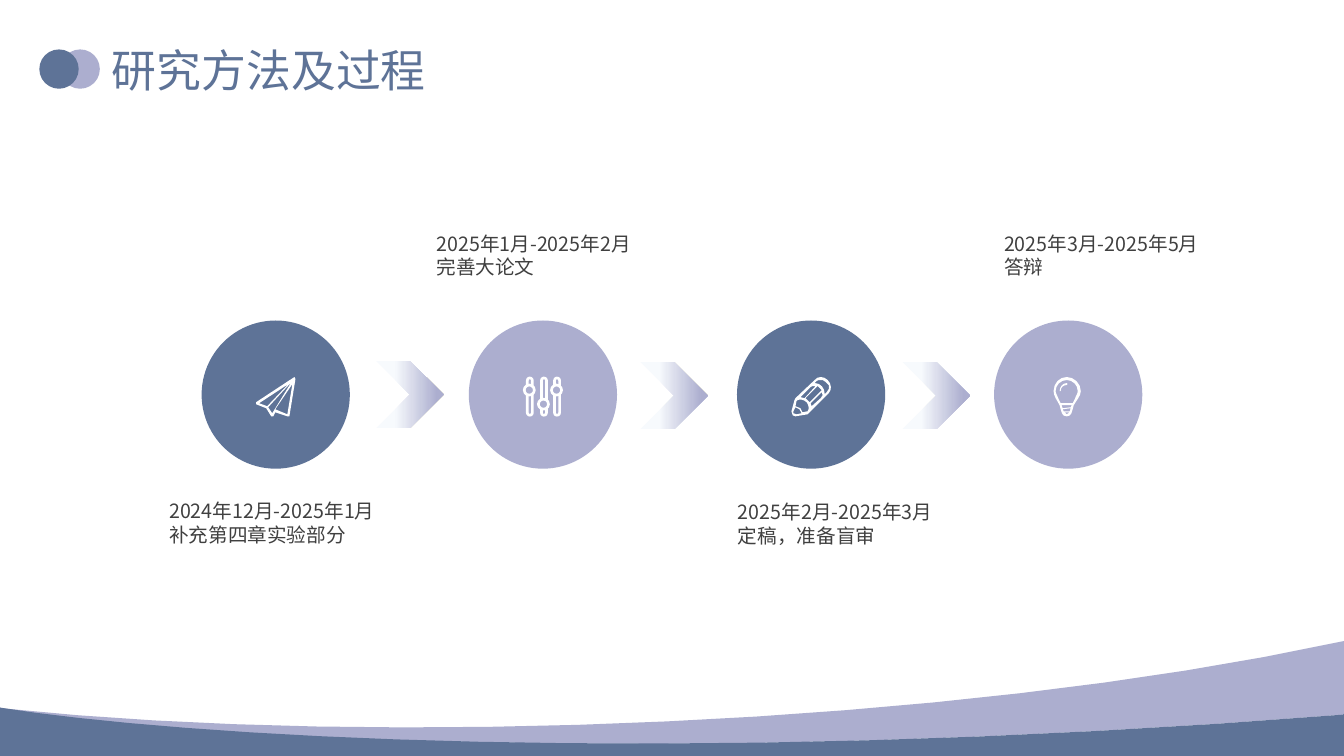
from dataclasses import dataclass

from lxml.etree import SubElement
from pptx import Presentation
from pptx.dml.color import RGBColor
from pptx.enum.shapes import MSO_SHAPE as Preset
from pptx.enum.text import MSO_ANCHOR as Anchor, PP_ALIGN as Align
from pptx.oxml.ns import qn
from pptx.util import Inches, Pt


@dataclass(frozen=True)
class Theme:
    font: str = "Noto Sans CJK SC"
    blue: str = "5E7397"
    lilac: str = "ACAECF"
    pale: str = "F7FAFD"
    white: str = "FFFFFF"
    ink: str = "404040"
    title_size: int = 32
    label_size: int = 14
    icon_stroke: float = 1.9


THEME = Theme()

LILAC_WAVE = [[
    (13.33, 6.36), (13.33, 7.09), (6.5, 7.63, 1.71, 7.3, 0, 7.03),
    (0, 7.02), (0.05, 7.03), (3.76, 7.42, 9.44, 7.2, 13.28, 6.37),
]]
BLUE_WAVE = [[
    (0, 7.02), (1.71, 7.29, 6.5, 7.63, 13.32, 7.09), (13.33, 7.08),
    (13.33, 7.5), (0, 7.5),
]]
PLANE = [
    [(2.85, 4.11), (2.73, 4.06), (2.9, 3.81)],
    [(2.66, 4.04), (2.89, 3.79), (2.7, 4.1)],
    [(2.57, 4), (2.86, 3.81), (2.65, 4.03)],
    [(2.92, 3.74), (2.54, 3.99), (2.54, 4.01), (2.64, 4.05), (2.69, 4.13),
     (2.71, 4.13), (2.73, 4.09), (2.85, 4.13), (2.87, 4.13), (2.93, 3.76)],
]
PENCIL = [
    [(8.2, 3.89), (8.18, 3.91), (8.18, 3.85, 8.14, 3.8, 8.08, 3.8), (8.1, 3.78),
     (8.12, 3.77), (8.16, 3.77), (8.19, 3.79), (8.22, 3.82), (8.22, 3.86)],
    [(7.96, 4.09), (7.94, 4.05), (7.89, 4.03), (7.9, 3.98), (7.91, 3.97),
     (7.93, 3.96, 7.97, 3.96, 8, 3.99), (8.02, 4.01, 8.03, 4.06, 8.01, 4.08)],
    [(7.9, 4.11), (7.87, 4.1), (7.87, 4.08), (7.89, 4.04), (7.93, 4.06), (7.95, 4.1)],
    [(7.98, 3.95), (7.94, 3.94), (8.04, 3.84), (8.06, 3.83), (8.09, 3.83)],
    [(8.03, 3.99), (7.99, 3.95), (8.11, 3.83), (8.15, 3.87)],
    [(8.05, 4.03), (8.04, 4), (8.15, 3.89), (8.16, 3.92), (8.14, 3.95)],
    [(8.21, 3.77), (8.17, 3.73, 8.11, 3.73, 8.08, 3.77), (7.89, 3.95),
     (7.88, 3.97), (7.85, 4.08), (7.85, 4.12, 7.87, 4.13, 7.89, 4.13),
     (8.01, 4.11), (8.03, 4.09), (8.22, 3.9), (8.25, 3.87, 8.25, 3.81, 8.21, 3.77)],
]
BULB = [
    [(10.64, 4), (10.52, 4), (10.5, 3.96), (10.49, 3.93, 10.47, 3.9, 10.47, 3.88),
     (10.47, 3.82, 10.52, 3.77, 10.58, 3.77),
     (10.64, 3.77, 10.69, 3.82, 10.69, 3.88),
     (10.69, 3.9, 10.67, 3.93, 10.66, 3.96)],
    [(10.58, 4.11), (10.56, 4.09), (10.61, 4.09)],
    [(10.54, 4.05), (10.53, 4.02), (10.63, 4.02), (10.62, 4.04)],
    [(10.61, 4.08), (10.55, 4.08), (10.54, 4.06), (10.62, 4.05)],
    [(10.58, 3.74), (10.51, 3.74, 10.45, 3.8, 10.45, 3.88),
     (10.45, 3.93, 10.49, 3.98, 10.51, 4.02),
     (10.53, 4.09, 10.53, 4.13, 10.58, 4.13),
     (10.63, 4.13, 10.63, 4.09, 10.65, 4.02),
     (10.67, 3.98, 10.72, 3.93, 10.72, 3.88),
     (10.72, 3.8, 10.65, 3.74, 10.58, 3.74)],
]
BULB_SHINE = [[
    (10.58, 3.8), (10.54, 3.8, 10.51, 3.84, 10.51, 3.88), (10.52, 3.88),
    (10.52, 3.84, 10.55, 3.82, 10.58, 3.82), (10.59, 3.81),
]]


def curve_steps(start, end):
    span = max(abs(b - a) for a, b in zip(start, end))
    return 16 if span > 1 else 4 if span > 0.06 else 2


def flatten(contour):
    points = [contour[0]]
    for step in contour[1:]:
        if len(step) == 2:
            points.append(step)
            continue
        nodes = [points[-1], step[:2], step[2:4], step[4:]]
        count = curve_steps(nodes[0], nodes[3])
        for index in range(1, count + 1):
            t = index / count
            weights = ((1 - t) ** 3, 3 * t * (1 - t) ** 2, 3 * t * t * (1 - t), t ** 3)
            points.append(tuple(
                sum(w * node[axis] for w, node in zip(weights, nodes)) for axis in (0, 1)
            ))
    return [(Inches(x), Inches(y)) for x, y in points]


def paint(shape, color):
    shape.shadow.inherit = False
    shape.fill.solid()
    shape.fill.fore_color.rgb = RGBColor.from_string(color)
    shape.line.fill.background()


def add_outline(shapes, contours, color):
    first, *others = [flatten(contour) for contour in contours]
    builder = shapes.build_freeform(*first[0], scale=1.0)
    builder.add_line_segments(first[1:], close=True)
    for points in others:
        builder.move_to(*points[0])
        builder.add_line_segments(points[1:], close=True)
    paint(builder.convert_to_shape(), color)


def add_preset(shapes, preset, left, top, width, height, color):
    shape = shapes.add_shape(
        preset, Inches(left), Inches(top), Inches(width), Inches(height))
    paint(shape, color)
    return shape


def add_slider(shapes, center, knob):
    bar = add_preset(
        shapes, Preset.ROUNDED_RECTANGLE, center - 0.02, 3.75, 0.05, 0.37, THEME.lilac)
    bar.adjustments[0] = 0.5
    ring = add_preset(
        shapes, Preset.OVAL, center - 0.05, knob - 0.05, 0.1, 0.1, THEME.lilac)
    for part in (bar, ring):
        part.line.color.rgb = RGBColor.from_string(THEME.white)
        part.line.width = Pt(THEME.icon_stroke)


def add_chevron(shapes, left, top):
    chevron = add_preset(shapes, Preset.CHEVRON, left, top, 0.67, 0.67, THEME.lilac)
    chevron.fill.gradient()
    chevron.fill.gradient_angle = 0
    stops = ((0.27, THEME.pale), (0.91, THEME.lilac))
    for stop, (position, color) in zip(chevron.fill.gradient_stops, stops):
        stop.position = position
        stop.color.rgb = RGBColor.from_string(color)


def add_span(para, text, size, color):
    span = para.add_run()
    span.text = text
    span.font.size = Pt(size)
    span.font.color.rgb = RGBColor.from_string(color)
    span.font.name = THEME.font
    SubElement(span.font._element, qn("a:ea")).set("typeface", THEME.font)


def place_title(page, text):
    title = page.shapes.title
    title.left, title.top = Inches(1.01), Inches(0.37)
    title.width, title.height = Inches(4.17), Inches(0.64)
    title.text_frame.vertical_anchor = Anchor.MIDDLE
    para = title.text_frame.paragraphs[0]
    para.alignment = Align.LEFT
    add_span(para, text, THEME.title_size, THEME.blue)


def add_label(shapes, left, top, width, period, task):
    box = shapes.add_textbox(Inches(left), Inches(top), Inches(width), Inches(0.81))
    box.text_frame.word_wrap = True
    para = box.text_frame.paragraphs[0]
    add_span(para, period, THEME.label_size, THEME.ink)
    para.add_line_break()
    add_span(para, task, THEME.label_size, THEME.ink)


def main():
    deck = Presentation()
    deck.slide_width, deck.slide_height = Inches(13.33), Inches(7.5)
    page = deck.slides.add_slide(deck.slide_layouts[5])
    shapes = page.shapes
    place_title(page, "研究方法及过程")
    marker = shapes.add_group_shape().shapes
    for left, color in ((0.6, THEME.lilac), (0.39, THEME.blue)):
        add_preset(marker, Preset.OVAL, left, 0.49, 0.39, 0.39, color)
    waves = shapes.add_group_shape().shapes
    add_outline(waves, LILAC_WAVE, THEME.lilac)
    add_outline(waves, BLUE_WAVE, THEME.blue)
    for index, left in enumerate((2, 4.65, 7.31, 9.86)):
        color = (THEME.blue, THEME.lilac)[index % 2]
        add_preset(shapes, Preset.OVAL, left, 3.18, 1.47, 1.47, color)
    for left, top in ((3.73, 3.58), (6.35, 3.59), (8.95, 3.59)):
        add_chevron(shapes, left, top)
    add_outline(shapes, PLANE, THEME.white)
    sliders = shapes.add_group_shape().shapes
    for center, knob in ((5.25, 3.87), (5.39, 4.01), (5.52, 3.87)):
        add_slider(sliders, center, knob)
    add_outline(shapes, PENCIL, THEME.white)
    bulb = shapes.add_group_shape().shapes
    add_outline(bulb, BULB, THEME.white)
    add_outline(bulb, BULB_SHINE, THEME.white)
    add_label(shapes, 1.58, 4.9, 2.3, "2024年12月-2025年1月", "补充第四章实验部分")
    add_label(shapes, 4.23, 2.25, 2.31, "2025年1月-2025年2月", "完善大论文")
    add_label(shapes, 7.22, 4.91, 2.24, "2025年2月-2025年3月", "定稿，准备盲审")
    add_label(shapes, 9.86, 2.25, 2.22, "2025年3月-2025年5月", "答辩")
    deck.save("out.pptx")


if __name__ == "__main__":
    main()
